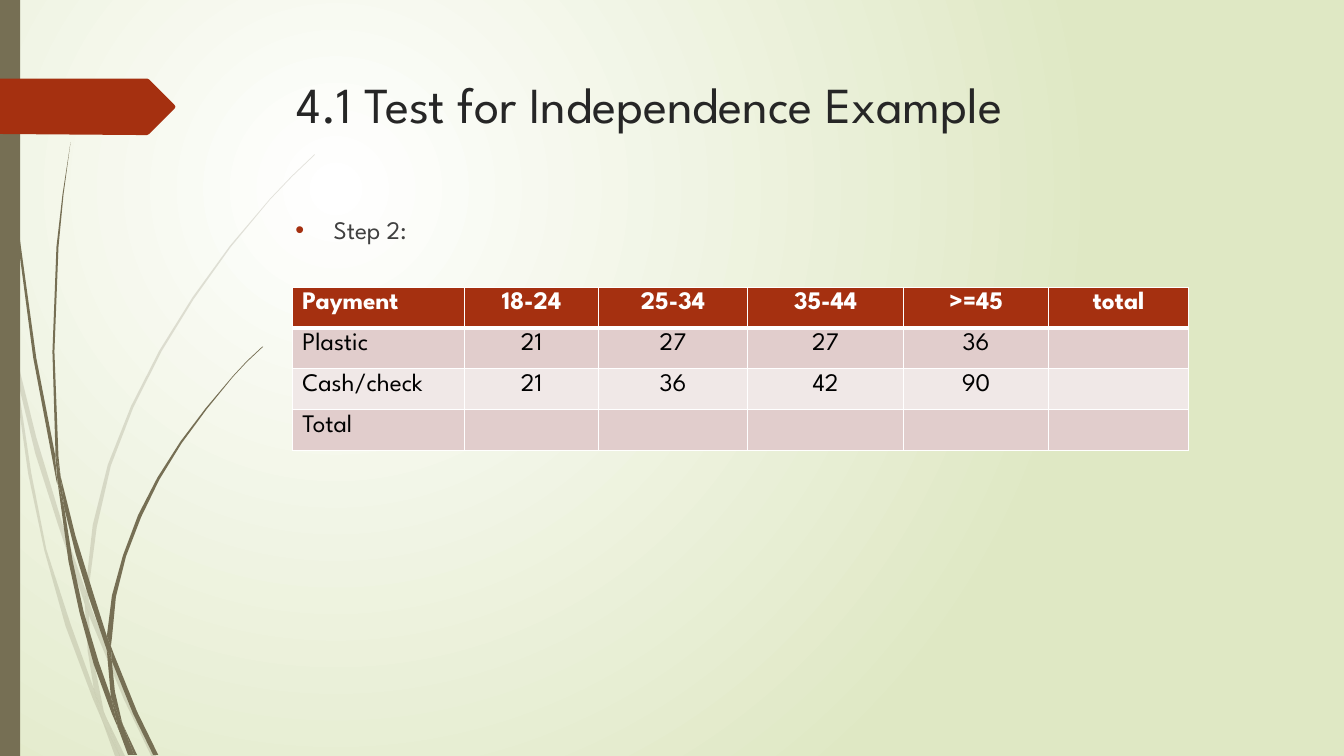
from lxml.etree import SubElement
from pptx import Presentation
from pptx.dml.color import RGBColor
from pptx.enum.shapes import MSO_SHAPE as SHAPE
from pptx.enum.text import MSO_ANCHOR as ANCHOR, MSO_AUTO_SIZE as AUTO, PP_ALIGN as ALIGN
from pptx.oxml.ns import qn
from pptx.util import Inches, Pt

FONT = "League Spartan"
OLIVE, RUST, WHITE = "766F54", "A53010", "FFFFFF"
BANDS = ["E1CDCC", "F0E8E7"]

# Outlines in hundredths of an inch, from the top left of the slide
PALE_GRASS = [
    [(11, 350), (9, 322), (0, 282), (0, 299), (10, 344)],
    [(58, 522), (84, 599), (85, 586), (62, 520), (36, 434), (14, 345), (17, 376), (35, 450)],
    [(92, 607), (88, 596), (88, 610), (123, 694), (150, 750), (155, 750), (127, 692)],
    [(119, 750), (124, 750), (105, 711)],
    [(93, 683), (70, 619), (46, 545), (31, 469), (17, 376), (11, 350), (28, 470), (44, 546),
     (65, 621), (92, 693), (101, 714), (99, 707)],
    [(84, 599), (87, 646), (93, 683), (96, 692), (105, 711), (103, 706), (91, 646), (88, 610),
     (88, 608)],
    [(88, 584), (96, 523), (110, 462), (132, 405), (160, 349), (192, 297), (229, 245),
     (268, 198), (290, 175), (312, 154), (312, 153), (289, 175), (268, 197), (228, 244),
     (191, 295), (158, 348), (130, 403), (107, 461), (92, 521), (85, 584), (85, 586), (88, 596)],
    [(101, 714), (114, 750), (119, 750)],
    [(88, 608), (88, 610), (88, 596), (85, 586), (84, 599)],
    [(96, 692), (93, 683), (99, 707), (101, 714), (119, 750), (105, 711)],
]
DARK_GRASS = [
    [(7, 110), (17, 233), (33, 355), (56, 477), (57, 481), (55, 457), (55, 453), (36, 355),
     (19, 232), (8, 109), (5, 48), (4, 0), (3, 0), (4, 48)],
    [(88, 592), (106, 645), (106, 631), (93, 590), (75, 532), (60, 472), (64, 505), (75, 549)],
    [(113, 649), (110, 641), (111, 656), (132, 708), (152, 749), (157, 749), (136, 706)],
    [(110, 691), (98, 657), (83, 607), (72, 556), (64, 505), (57, 477), (68, 557), (79, 608),
     (93, 659), (111, 708), (117, 722), (116, 717)],
    [(60, 472), (58, 453), (54, 349), (58, 245), (63, 193), (70, 141), (62, 193), (56, 245),
     (52, 349), (55, 449)],
    [(133, 749), (136, 749), (122, 719)],
    [(57, 477), (64, 505), (60, 472), (55, 449), (55, 453)],
    [(111, 633), (115, 592), (125, 552), (140, 513), (158, 476), (180, 440), (205, 406),
     (231, 374), (245, 359), (261, 344), (260, 344), (245, 358), (231, 373), (204, 405),
     (179, 438), (156, 474), (137, 511), (122, 551), (111, 591), (106, 631), (110, 641)],
    [(117, 722), (127, 749), (131, 749)],
    [(106, 645), (110, 691), (116, 706), (122, 719), (121, 716), (114, 686), (111, 656),
     (109, 651)],
    [(106, 645), (109, 651), (111, 656), (110, 641), (106, 631)],
    [(116, 706), (110, 691), (116, 717), (117, 722), (130, 749), (133, 749), (122, 719)],
]
TAG = [(173, 30), (148, 55), (146, 56), (136, 56), (0, 55), (0, 0), (146, 0), (148, 1),
       (173, 26), (174, 28)]

HEADER = ["Payment", "18-24", "25-34", "35-44", ">=45", "total"]
COUNTS = [
    ["Plastic", "21", "27", "27", "36", ""],
    ["Cash/check", "21", "36", "42", "90", ""],
    ["Total", "", "", "", "", ""],
]
COLUMN_WIDTHS = [1.71, 1.33, 1.48, 1.55, 1.44, 1.39]


def rgb(code):
    return RGBColor.from_string(code)


def write(frame, text, size=18, color="000000", bold=False, align=ALIGN.LEFT):
    paragraph = frame.paragraphs[0]
    paragraph.alignment = align
    run = paragraph.add_run()
    run.text = text
    run.font.name, run.font.size, run.font.bold = FONT, Pt(size), bold
    run.font.color.rgb = rgb(color)
    return paragraph


def paint(shape, color, opacity=100):
    shape.shadow.inherit = False
    shape.fill.solid()
    shape.fill.fore_color.rgb = rgb(color)
    shape.line.fill.background()
    if opacity < 100:
        tint = next(shape.element.spPr.iter(qn("a:srgbClr")))
        SubElement(tint, qn("a:alpha"), val=str(opacity * 1000))


def outline(shapes, points, left, top, color, opacity=100):
    builder = shapes.build_freeform(*points[0], scale=Inches(0.01))
    builder.add_line_segments(points[1:], close=True)
    paint(builder.convert_to_shape(Inches(left), Inches(top)), color, opacity)


def add_background(slide):
    fill = slide.background.fill
    fill.gradient()
    for stop, position, color in zip(fill.gradient_stops, (0, 1), (WHITE, "DFE8C4")):
        stop.position = position
        stop.color.rgb = rgb(color)
    gradient = next(slide.element.iter(qn("a:gradFill")))
    gradient.remove(gradient.find(qn("a:lin")))
    circle = SubElement(gradient, qn("a:path"), {"path": "circle"})
    SubElement(circle, qn("a:fillToRect"), l="50000", t="50000", r="100000", b="100000")


def add_side_decoration(slide, left, top, height):
    # Grass blades, the pale ones behind
    for blades, opacity in ((PALE_GRASS, 20), (DARK_GRASS, 100)):
        grass = slide.shapes.add_group_shape()
        for blade in blades:
            outline(grass.shapes, blade, left, top, OLIVE, opacity)
    # Edge bar and tag
    bar = slide.shapes.add_shape(SHAPE.RECTANGLE, Inches(left), Inches(top),
                                 Inches(0.2), Inches(height))
    paint(bar, OLIVE)
    outline(slide.shapes, TAG, left, top + 0.78, RUST)


def add_title(slide, left, top, width, height):
    title = slide.shapes.title
    title.left, title.top = Inches(left), Inches(top)
    title.width, title.height = Inches(width), Inches(height)
    frame = title.text_frame
    frame.auto_size, frame.vertical_anchor = AUTO.NONE, ANCHOR.TOP
    write(frame, "4.1 Test for Independence Example", size=36, color="262626")


def add_step(slide, left, top, width, height):
    step = slide.shapes.add_textbox(Inches(left), Inches(top), Inches(width), Inches(height))
    step.text_frame.word_wrap = True
    paragraph = write(step.text_frame, "Step 2:", color="404040")
    paragraph.space_before = Pt(10)
    # Hanging bullet
    properties = paragraph._p.get_or_add_pPr()
    properties.set("marL", str(Inches(0.38)))
    properties.set("indent", str(Inches(-0.38)))
    bullet_color = SubElement(properties, qn("a:buClr"))
    SubElement(bullet_color, qn("a:srgbClr"), val=RUST)
    SubElement(properties, qn("a:buFont"), typeface="Arial")
    SubElement(properties, qn("a:buChar"), char="•")


def set_borders(cell, **widths):
    properties = cell._tc.get_or_add_tcPr()
    for side in "LRTB":
        line = SubElement(properties, qn(f"a:ln{side}"), w=str(Pt(widths.get(side, 1))))
        SubElement(SubElement(line, qn("a:solidFill")), qn("a:srgbClr"), val=WHITE)


def add_payment_table(slide, left, top, width, height):
    rows = [HEADER] + COUNTS
    table = slide.shapes.add_table(len(rows), len(HEADER), Inches(left), Inches(top),
                                   Inches(width), Inches(height)).table
    for column, share in zip(table.columns, COLUMN_WIDTHS):
        column.width = Inches(width * share / sum(COLUMN_WIDTHS))
    for r, row in enumerate(rows):
        is_header = r == 0
        for c, text in enumerate(row):
            cell = table.cell(r, c)
            set_borders(cell, B=3 if is_header else 1, T=3 if r == 1 else 1)
            cell.fill.solid()
            cell.fill.fore_color.rgb = rgb(RUST if is_header else BANDS[(r - 1) % 2])
            if text:
                write(cell.text_frame, text, bold=is_header,
                      color=WHITE if is_header else "000000",
                      align=ALIGN.CENTER if c else ALIGN.LEFT)


deck = Presentation()
deck.slide_width, deck.slide_height = Inches(13.33), Inches(7.5)
slide = deck.slides.add_slide(deck.slide_layouts.get_by_name("Title Only"))
add_background(slide)
add_side_decoration(slide, 0, 0, 7.5)
add_title(slide, 2.84, 0.68, 9.75, 1.4)
add_step(slide, 2.83, 2.08, 9.75, 4.56)
add_payment_table(slide, 2.9, 2.85, 8.89, 1.62)
deck.save("out.pptx")
